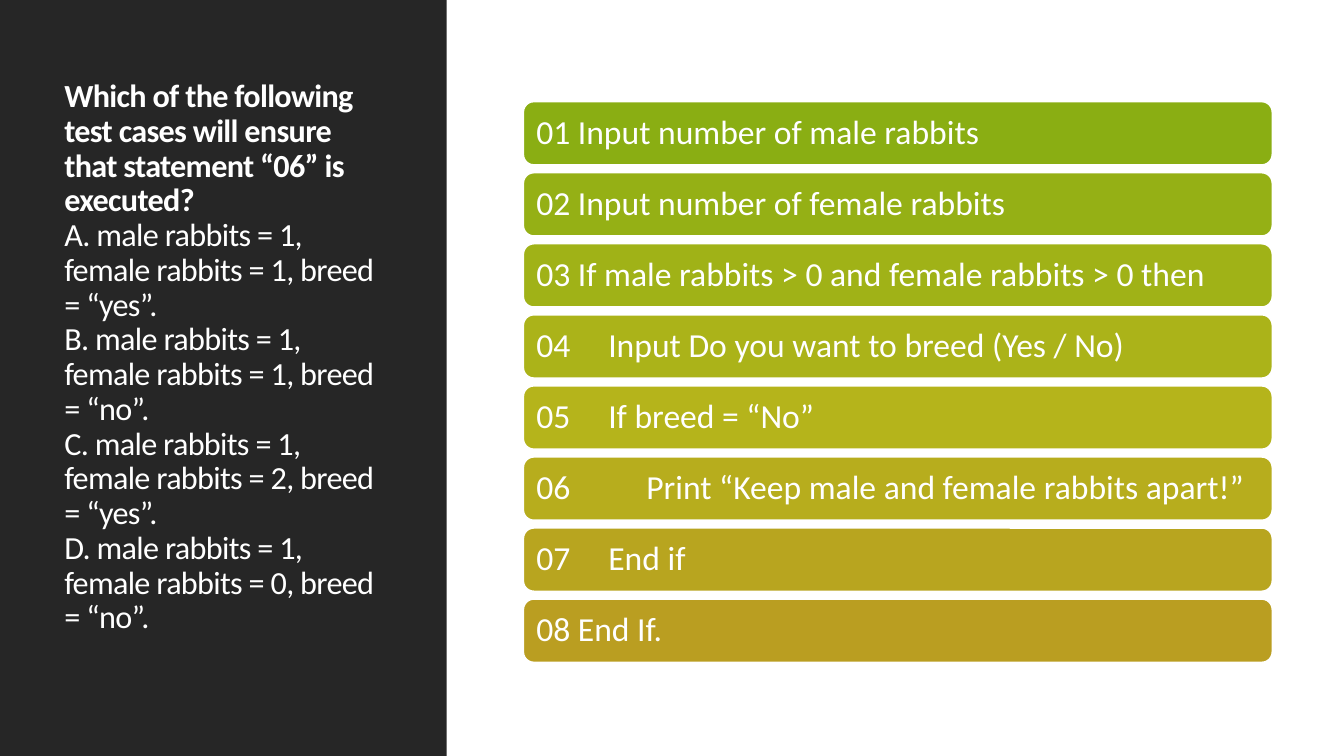
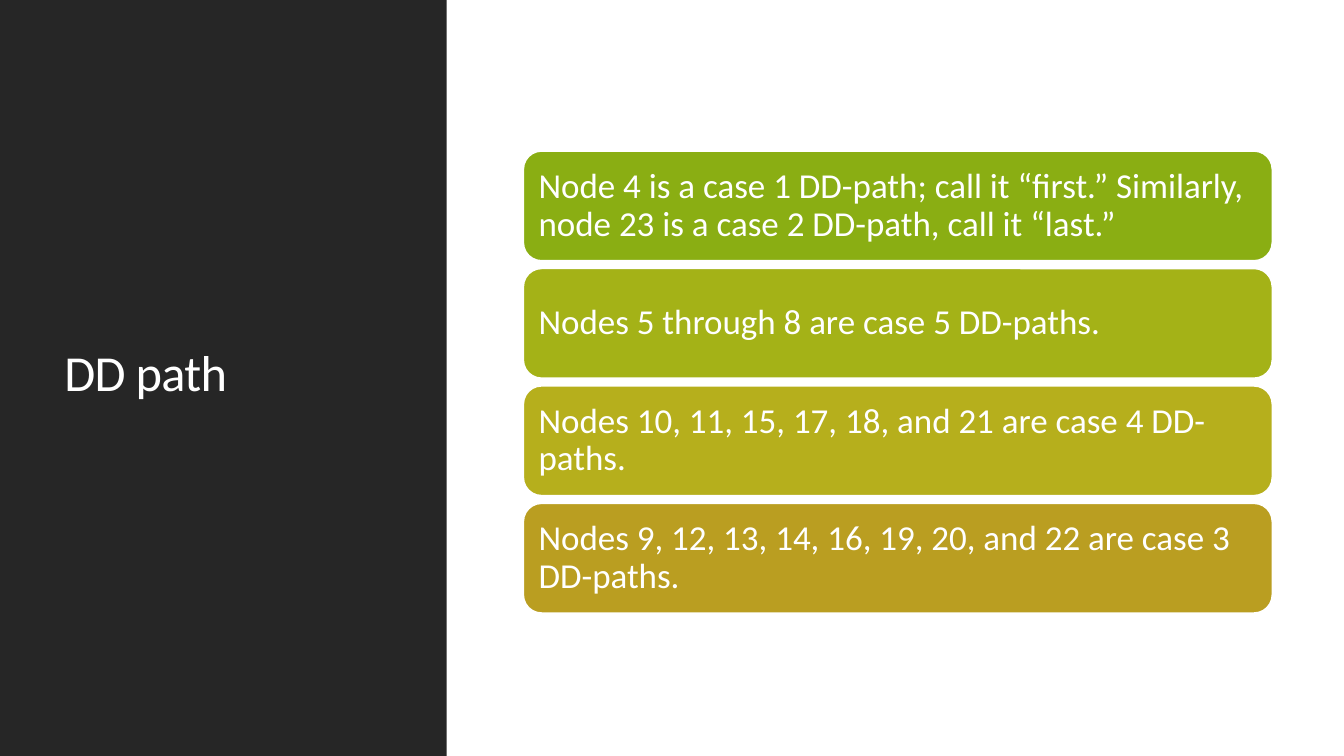
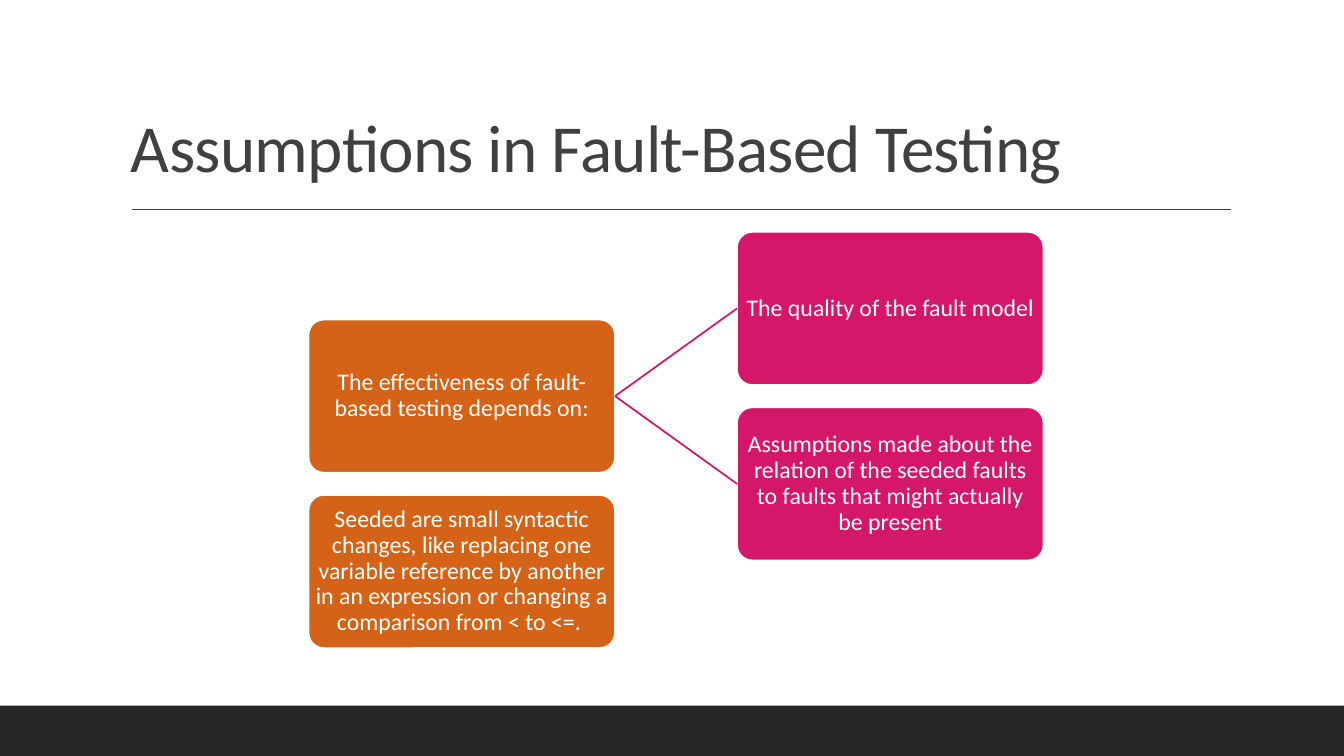
"""Builds three slides on software test cases, DD-paths and fault-based testing."""
import colorsys
from dataclasses import dataclass

import lxml.etree
import pptx
import pptx.dml.color
import pptx.enum.shapes
import pptx.enum.text
import pptx.oxml.ns
import pptx.util

Inches = pptx.util.Inches
Pt = pptx.util.Pt
Shape = pptx.enum.shapes.MSO_SHAPE
Anchor = pptx.enum.text.MSO_ANCHOR
Align = pptx.enum.text.PP_ALIGN


@dataclass(frozen=True)
class Theme:
    """Colours, font and type sizes shared by the slides."""

    font: str = "Calibri"
    dark: str = "262626"
    grey: str = "404040"
    white: str = "FFFFFF"
    green: str = "8AAE13"
    gold: str = "BA9E21"
    orange: str = "D56317"
    pink: str = "D51769"
    head: int = 48
    side: int = 36
    quiz: int = 23
    code: int = 24
    note: int = 25
    tile: int = 17
    edge: float = 1.25


THEME = Theme()
WIDE, HIGH = 13.33, 7.5

QUIZ = [
    "Which of the following test cases will ensure that statement “06” is executed?",
    "A. male rabbits = 1, female rabbits = 1, breed = “yes”.",
    "B. male rabbits = 1, female rabbits = 1, breed = “no”.",
    "C. male rabbits = 1, female rabbits = 2, breed = “yes”.",
    "D. male rabbits = 1, female rabbits = 0, breed = “no”.",
]
CODE = [
    "01 Input number of male rabbits",
    "02 Input number of female rabbits",
    "03 If male rabbits > 0 and female rabbits > 0 then",
    "04     Input Do you want to breed (Yes / No)",
    "05     If breed = “No”",
    "06          Print “Keep male and female rabbits apart!”",
    "07     End if",
    "08 End If.",
]
NODES = [
    "Node 4 is a case 1 DD-path; call it “first.” Similarly, node 23 is a case 2 DD-path, call it “last.”",
    "Nodes 5 through 8 are case 5 DD-paths.",
    "Nodes 10, 11, 15, 17, 18, and 21 are case 4 DD-paths.",
    "Nodes 9, 12, 13, 14, 16, 19, 20, and 22 are case 3 DD-paths.",
]


def rgb(code):
    """Turn a hex code into a colour."""
    return pptx.dml.color.RGBColor.from_string(code)


def blend(first, last, part):
    """Mix two hex colours along hue, lightness and saturation."""
    ends = [colorsys.rgb_to_hls(*(v / 255 for v in rgb(c))) for c in (first, last)]
    mix = [a + (b - a) * part for a, b in zip(*ends)]
    return "".join(f"{round(v * 255):02X}" for v in colorsys.hls_to_rgb(*mix))


def write(shape, text, size, color, inset, align=Align.LEFT, anchor=Anchor.MIDDLE):
    """Set one paragraph of text in a shape and return its runs."""
    frame = shape.text_frame
    frame.word_wrap = True
    frame.vertical_anchor = anchor
    frame.margin_left = frame.margin_right = Inches(inset)
    frame.margin_top = frame.margin_bottom = Inches(min(inset, 0.05))
    para = frame.paragraphs[0]
    para.text = text
    para.alignment = align
    para.line_spacing = 0.9
    for run in para.runs:
        run.font.name = THEME.font
        run.font.size = Pt(size)
        run.font.color.rgb = rgb(color)
    return para.runs


def title(slide, text, place, size, color, anchor=Anchor.MIDDLE):
    """Add a tightly spaced title and return its runs."""
    box = slide.shapes.add_textbox(*map(Inches, place))
    runs = write(box, text, size, color, 0.1, anchor=anchor)
    for run in runs:
        run.font._element.set("spc", "-50")
    return runs


def block(slide, kind, place, fill):
    """Add a filled shape without line or shadow."""
    shape = slide.shapes.add_shape(kind, *map(Inches, place))
    shape.shadow.inherit = False
    shape.fill.solid()
    shape.fill.fore_color.rgb = rgb(fill)
    shape.line.fill.background()
    return shape


def card(slide, text, place, fill, size, inset, align=Align.LEFT):
    """Add a rounded, white-edged box with white text."""
    shape = block(slide, Shape.ROUNDED_RECTANGLE, place, fill)
    shape.line.color.rgb = rgb(THEME.white)
    shape.line.width = Pt(THEME.edge)
    write(shape, text, size, THEME.white, inset, align)
    return shape


def line(slide, start, end, color, width):
    """Add a straight line without shadow."""
    kind = pptx.enum.shapes.MSO_CONNECTOR.STRAIGHT
    link = slide.shapes.add_connector(kind, *map(Inches, (*start, *end)))
    link.line.color.rgb = rgb(color)
    link.line.width = Pt(width)
    tag = pptx.oxml.ns.qn("a:effectLst")
    lxml.etree.SubElement(link._element.spPr, tag)
    return link


def stack(slide, texts, height, size):
    """Add a centred column of cards that shade from green to gold."""
    gap, mid = 0.075, 3.79
    step = height + gap
    top = mid - (len(texts) * step - gap) / 2
    for i, text in enumerate(texts):
        fill = blend(THEME.green, THEME.gold, i / (len(texts) - 1))
        card(slide, text, (5.19, top + i * step, 7.43, height), fill, size, 0.1)


def panel(slide, text, size, height):
    """Add the dark side panel with its title and return the runs."""
    block(slide, Shape.RECTANGLE, (0, 0, 4.43, HIGH), THEME.dark)
    return title(slide, text, (0.54, 0.57, 3.37, height), size, THEME.white)


def tile(slide, text, col, row, fill):
    """Add a tree tile, with rows counted in half steps."""
    place = (3.06 + 4.25 * col, 2.3 + 0.87 * row, 3.04, 1.52)
    shape = card(slide, text, place, fill, THEME.tile, 0.01, Align.CENTER)
    shape.adjustments[0] = 0.1
    return shape


def join(slide, start, end):
    """Link the right side of one tile to the left side of another."""
    link = line(slide, (0, 0), (1, 1), THEME.pink, THEME.edge)
    link.begin_connect(start, 3)
    link.end_connect(end, 1)


def quiz(slide):
    """Build the test case question."""
    runs = panel(slide, "\v".join(QUIZ), THEME.quiz, 5.96)
    runs[0].font.bold = True
    stack(slide, CODE, 0.63, THEME.code)


def nodes(slide):
    """Build the DD-path slide."""
    panel(slide, "DD path", THEME.side, 6.31)
    stack(slide, NODES, 1.09, THEME.note)


def faults(slide):
    """Build the fault-based testing tree."""
    block(slide, Shape.RECTANGLE, (0, 7, WIDE, 0.5), THEME.dark)
    line(slide, (1.31, 2.08), (12.21, 2.08), THEME.grey, 1)
    title(slide, "Assumptions in Fault-Based Testing", (1.2, 0.31, 11, 1.59),
          THEME.head, THEME.grey, Anchor.BOTTOM)
    root = tile(slide, "The effectiveness of fault-based testing depends on:",
                0, 1, THEME.orange)
    leaves = [
        "The quality of the fault model",
        "Assumptions made about the relation of the seeded faults "
        "to faults that might actually be present",
    ]
    for i, text in enumerate(leaves):
        join(slide, root, tile(slide, text, 1, 2 * i, THEME.pink))
    tile(slide, "Seeded are small syntactic changes, like replacing one variable "
         "reference by another in an expression or changing a comparison "
         "from < to <=. ", 0, 3, THEME.orange)


def main():
    """Build and save the slides."""
    deck = pptx.Presentation()
    deck.slide_width, deck.slide_height = Inches(WIDE), Inches(HIGH)
    for build in (quiz, nodes, faults):
        build(deck.slides.add_slide(deck.slide_layouts[6]))
    deck.save("out.pptx")


if __name__ == "__main__":
    main()
